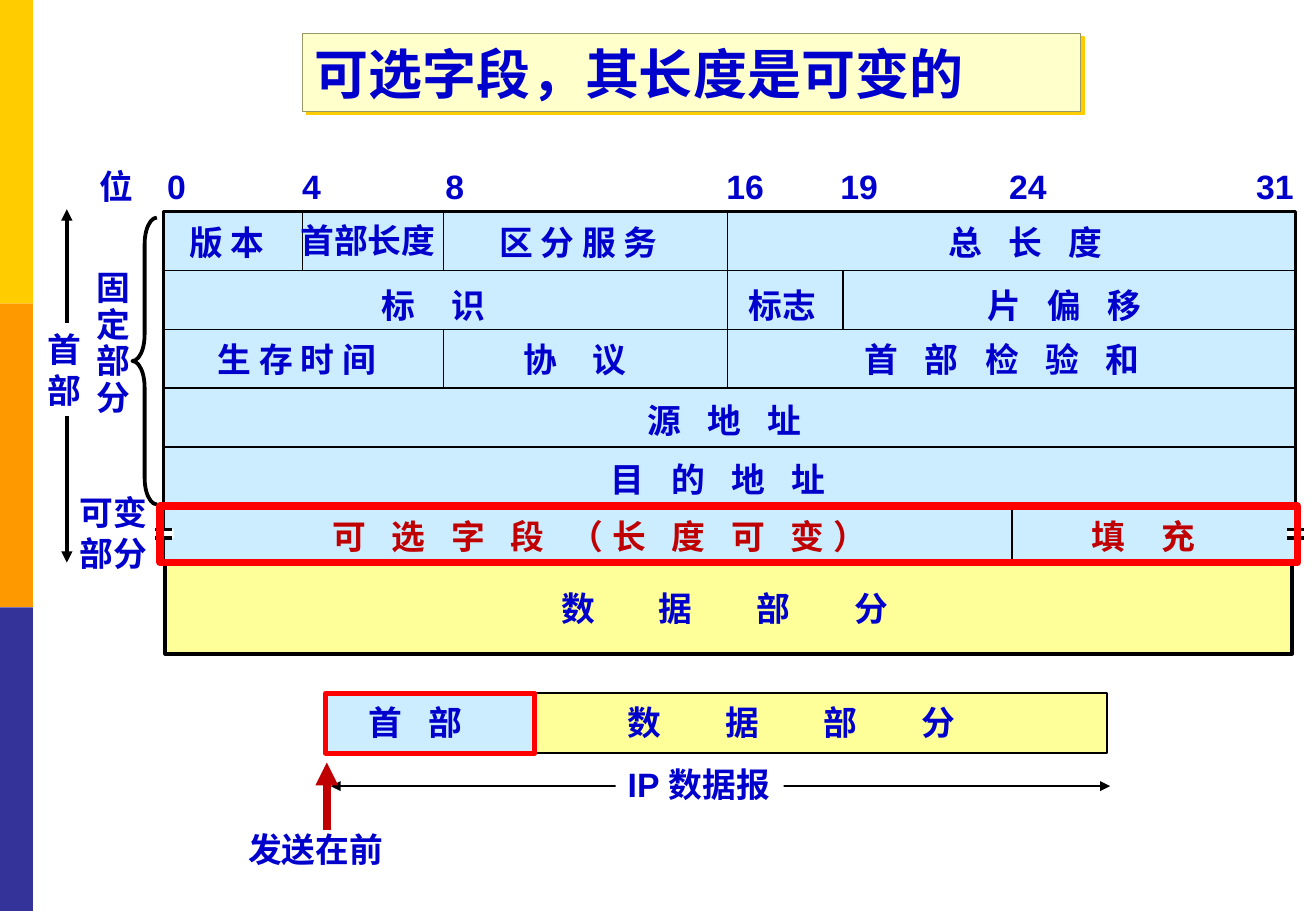
"""Build a slide that shows the layout of an IP datagram header."""
from lxml import etree
from pptx import Presentation
from pptx.dml.color import RGBColor
from pptx.enum.shapes import MSO_CONNECTOR, MSO_SHAPE
from pptx.enum.text import MSO_ANCHOR, MSO_AUTO_SIZE, PP_ALIGN
from pptx.oxml.ns import qn
from pptx.util import Pt

RECTANGLE = MSO_SHAPE.RECTANGLE
LEFT_BRACE = MSO_SHAPE.LEFT_BRACE
STRAIGHT = MSO_CONNECTOR.STRAIGHT
MIDDLE = MSO_ANCHOR.MIDDLE
TOP = MSO_ANCHOR.TOP
LEFT = PP_ALIGN.LEFT
NO_RESIZE = MSO_AUTO_SIZE.NONE

BLUE, DARK_RED, RED = "0000CC", "C00000", "FF0000"
BLACK, WHITE = "000000", "FFFFFF"
PALE_BLUE, PALE_YELLOW = "CCECFF", "FFFF99"
HEADER_TOP, ROW_HEIGHT = 125.5, 34.9
TABLE_LEFT, TABLE_RIGHT = 97, 768
BIT_POSITIONS = {4: 179.3, 8: 262.8, 16: 431.3, 19: 499.7, 24: 599.8}


def add_box(left, top, width, height, fill=None, line=None, weight=1, kind=RECTANGLE):
    shape = slide.shapes.add_shape(kind, Pt(left), Pt(top), Pt(width), Pt(height))
    shape.shadow.inherit = False
    for part, value in ((shape.fill, fill), (shape.line.fill, line)):
        if value:
            part.solid()
            part.fore_color.rgb = RGBColor.from_string(value)
        else:
            part.background()
    if line:
        shape.line.width = Pt(weight)
    return shape


def add_line(x1, y1, x2, y2, weight=1, color=BLACK, arrows=()):
    connector = slide.shapes.add_connector(STRAIGHT, Pt(x1), Pt(y1), Pt(x2), Pt(y2))
    connector.line.width = Pt(weight)
    connector.line.color.rgb = RGBColor.from_string(color)
    for end in arrows:
        etree.SubElement(connector.line._ln, qn(f"a:{end}"), type="triangle")
    etree.SubElement(connector._element.spPr, qn("a:effectLst"))


presentation = Presentation()
presentation.slide_width = Pt(780)
presentation.slide_height = Pt(540)
slide = presentation.slides.add_slide(presentation.slide_layouts[5])

title = slide.shapes.title
title.left, title.top, title.width, title.height = Pt(179.5), Pt(20), Pt(461), Pt(46)
title.fill.solid()
title.fill.fore_color.rgb = RGBColor.from_string("FFFFCC")
title.line.color.rgb = RGBColor.from_string("999966")
title.line.width = Pt(0.75)
effects = etree.SubElement(title._element.spPr, qn("a:effectLst"))
shadow = etree.SubElement(effects, qn("a:outerShdw"), dist=str(Pt(2.8)), dir="2700000", algn="ctr")
etree.SubElement(shadow, qn("a:srgbClr"), val="FFCC00")
title.text_frame.text = "可选字段，其长度是可变的"
title.text_frame.auto_size = NO_RESIZE
title.text_frame.vertical_anchor = MIDDLE
title_paragraph = title.text_frame.paragraphs[0]
title_paragraph.alignment = LEFT
title_font = title_paragraph.runs[0].font
title_font.name, title_font.size, title_font.bold = "Arial", Pt(32), True
title_font.color.rgb = RGBColor.from_string(BLUE)

for index, band_color in enumerate(("FFCC00", "FF9900", "333399")):
    add_box(0, 180 * index, 19.5, 180, band_color)

add_box(TABLE_LEFT, HEADER_TOP, TABLE_RIGHT - TABLE_LEFT, 208, PALE_BLUE, BLACK, 2)
add_box(98, 334, 668, 53.5, PALE_YELLOW, BLACK, 2.25)
add_box(193.5, 411, 123, 35.5, PALE_BLUE, BLACK)
add_box(316, 411, 340, 35.5, PALE_YELLOW, BLACK)

for row in range(1, 6):
    row_y = HEADER_TOP + row * ROW_HEIGHT
    add_line(TABLE_LEFT, row_y, TABLE_RIGHT, row_y)
for bit, first_row, last_row in ((4, 0, 1), (8, 0, 1), (8, 2, 3), (16, 0, 3), (19, 1, 2), (24, 5, 6)):
    bit_x = BIT_POSITIONS[bit]
    add_line(bit_x, HEADER_TOP + first_row * ROW_HEIGHT, bit_x, HEADER_TOP + last_row * ROW_HEIGHT)

for mark_left in (92, 763):
    add_box(mark_left, 313.5, 11, 5.5, WHITE)
    for mark_y in (314, 319):
        add_line(mark_left, mark_y, mark_left + 10, mark_y, 2)

both_arrows = ("headEnd", "tailEnd")
add_line(196, 466, 658, 466, arrows=both_arrows)
add_line(39.6, 124, 39.6, 333.5, 2.25, arrows=both_arrows)
add_line(193.7, 492, 193.7, 452, 4.5, DARK_RED, ("tailEnd",))
brace = add_box(78.5, 129, 14.5, 170, None, BLACK, 2.25, LEFT_BRACE)
brace.adjustments[0] = 1.08

labels = [
    ("0", 92, 95, 30, 0, BLUE, None),
    ("4", 172, 95, 30, 0, BLUE, None),
    ("8", 257, 95, 30, 0, BLUE, None),
    ("16", 423.5, 95, 40, 0, BLUE, None),
    ("19", 491, 95, 40, 0, BLUE, None),
    ("24", 591, 95, 40, 0, BLUE, None),
    ("31", 737.5, 95, 40, 0, BLUE, None),
    ("位", 52, 94.5, 36, 0, BLUE, None),
    ("版 本", 105, 128, 65, 0, BLUE, None),
    ("首部长度", 171, 126.5, 100, 0, BLUE, None),
    ("区 分 服 务", 289, 128, 120, 0, BLUE, None),
    ("总 长 度", 555, 128, 120, 5.56, BLUE, None),
    ("标 识", 219, 165.5, 90, 8.34, BLUE, None),
    ("标志", 436.5, 165.5, 60, 0, BLUE, None),
    ("片 偏 移", 578, 165.5, 120, 5.56, BLUE, None),
    ("生 存 时 间", 122, 197.5, 120, 0, BLUE, None),
    ("协 议", 303, 197.5, 90, 8.34, BLUE, None),
    ("首 部 检 验 和", 505.5, 197.5, 200, 5.56, BLUE, None),
    ("源 地 址", 376.5, 233.5, 120, 5.56, BLUE, None),
    ("目 的 地 址", 355, 268.5, 160, 5.56, BLUE, None),
    ("可 选 字 段 （长 度 可 变）", 190, 302, 350, 5.3, DARK_RED, None),
    ("填 充", 640, 302, 90, 8.34, DARK_RED, None),
    ("数 据 部 分", 325.5, 345, 250, 16.7, BLUE, None),
    ("数 据 部 分", 365, 412.5, 264, 16.7, BLUE, None),
    ("首 部", 211.5, 412.5, 90, 5.56, BLUE, None),
    ("IP 数据报", 365, 449.5, 99.5, 0, BLUE, WHITE),
    ("首\n部", 21, 191.5, 35, 0, BLUE, WHITE),
    ("固\n定\n部\n分", 50, 157.5, 35, 0, BLUE, None),
    ("可变\n部分", 40, 288, 60, 0, BLUE, None),
    ("发送在前", 140, 488, 100, 0, BLUE, None),
]
for text, left, top, width, letter_gap, color, fill in labels:
    label = add_box(left, top, width, 31 + 24 * text.count("\n"), fill)
    frame = label.text_frame
    frame.word_wrap = True
    frame.vertical_anchor = TOP
    frame.text = text
    for paragraph in frame.paragraphs:
        paragraph.alignment = LEFT
        if text.startswith("固"):
            paragraph.line_spacing = 0.9
        run = paragraph.runs[0]
        run.font.name, run.font.size, run.font.bold = "Arial", Pt(20), True
        run.font.color.rgb = RGBColor.from_string(color)
        if letter_gap:
            run._r.get_or_add_rPr().set("spc", str(round(letter_gap * 100)))

add_box(95, 300, 674, 33.5, None, RED, 4.5)
add_box(193, 411, 124, 35.5, None, RED, 3)

presentation.save("out.pptx")
